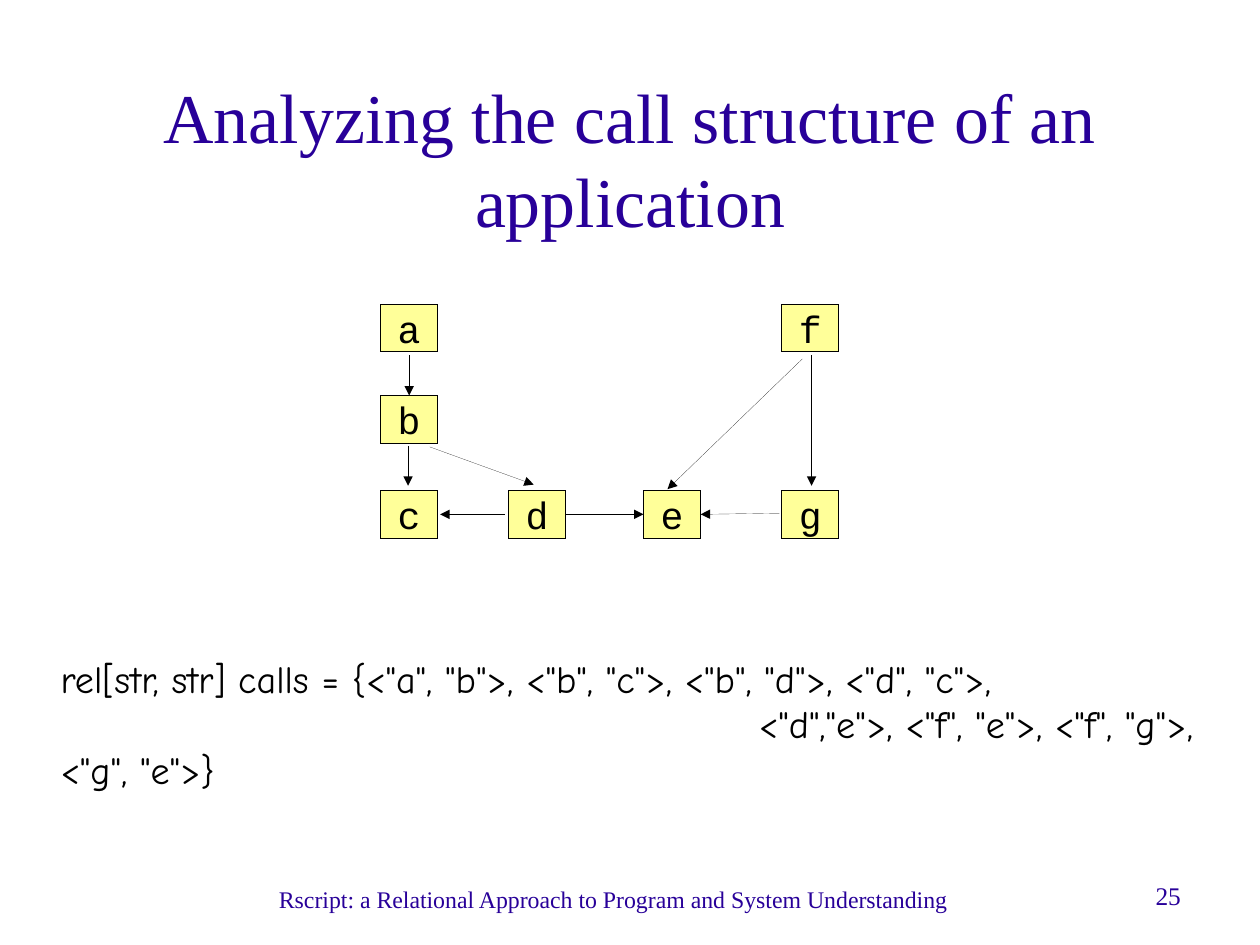
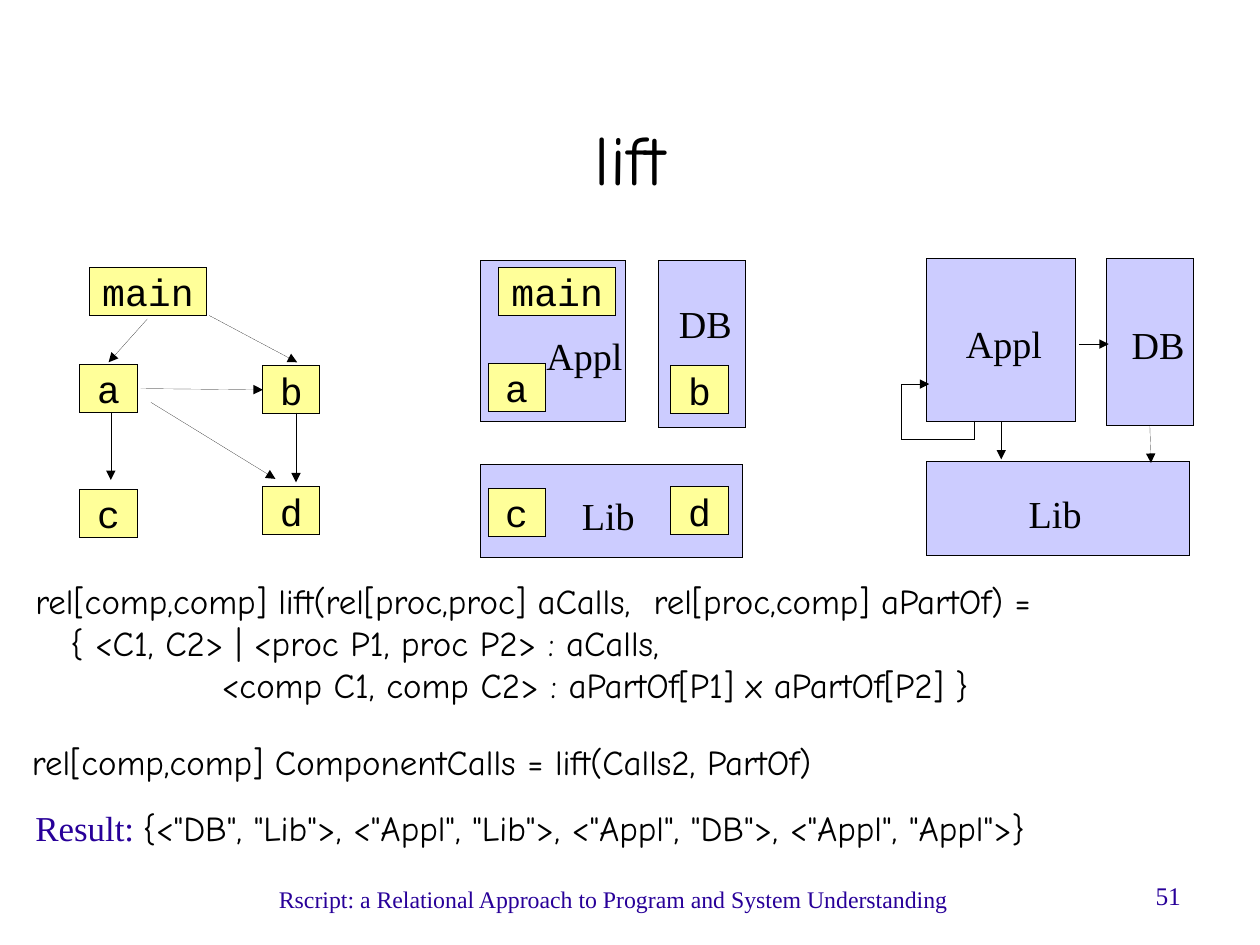
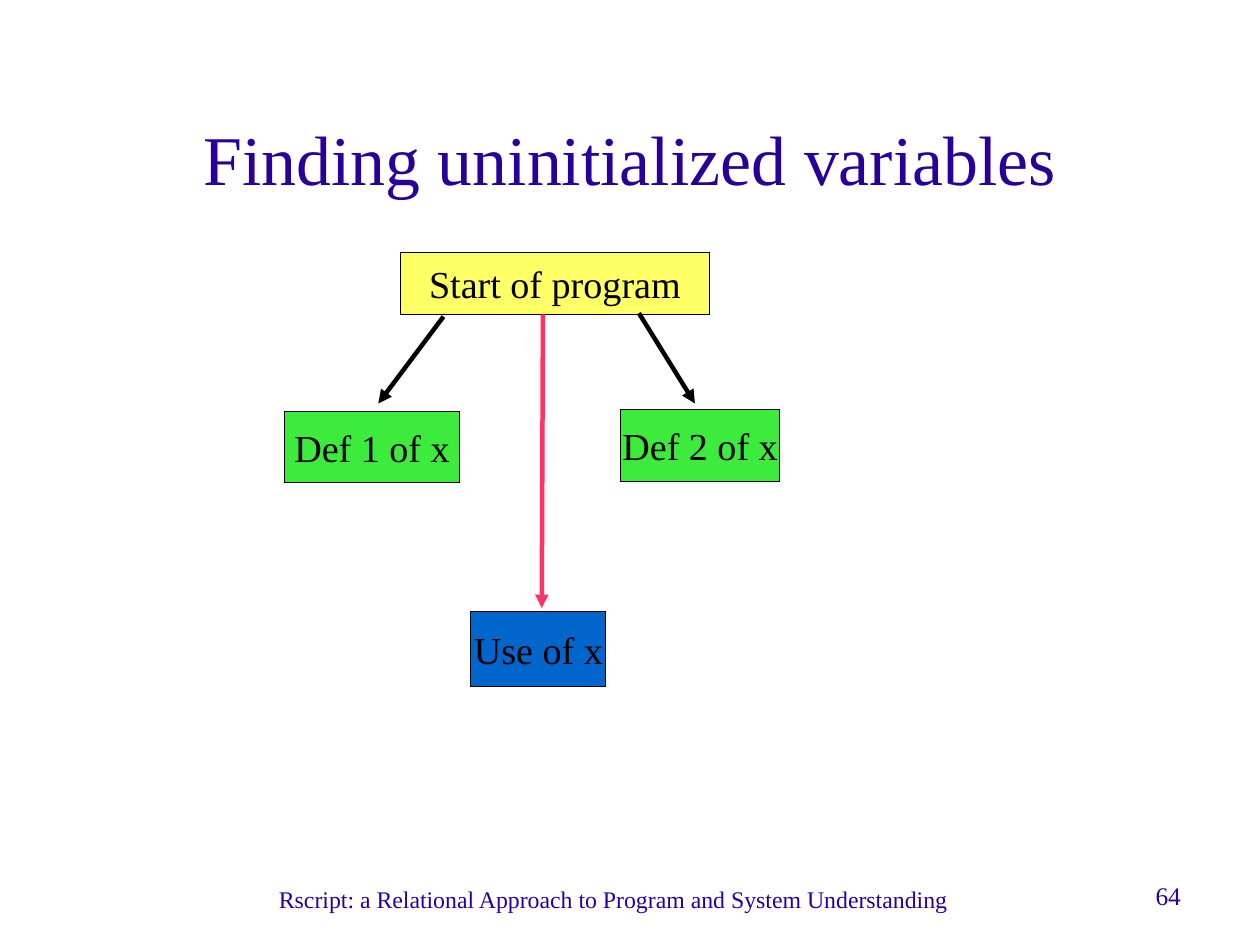
from dataclasses import dataclass
from math import hypot

from lxml import etree
from pptx import Presentation
from pptx.dml.color import RGBColor
from pptx.enum import shapes, text
from pptx.oxml.ns import qn
from pptx.util import Inches, Pt


@dataclass(frozen=True)
class Theme:
    serif: str = "Times New Roman"
    mono: str = "Courier New"
    script: str = "Comic Neue"
    purple: str = "280099"
    black: str = "000000"
    pink: str = "FF3366"
    node: str = "FFFF99"
    component: str = "CCCCFF"
    start: str = "FFFF66"
    definition: str = "3DEB3D"
    use: str = "0066CC"
    title_size: int = 44
    diagram_size: int = 24
    code_size: int = 22
    footer_size: int = 15
    number_size: int = 16
    hairline: float = 0
    thick: float = 2.83


THEME = Theme()
FOOTER = "Rscript: a Relational Approach to Program and System Understanding"
CM_PER_INCH = 2.54
NODE_WIDTH, MAIN_WIDTH, NODE_HEIGHT = 0.5, 1.03, 0.42
JOIN_DISTANCE = 0.02  # inches between an arrow end and a side's middle


# Text styles: font, size, colour
TITLE = (THEME.serif, THEME.title_size, THEME.purple)
CODE_TITLE = (THEME.script, THEME.title_size, THEME.black)
CODE_LARGE = (THEME.script, THEME.diagram_size, THEME.black)
CODE = (THEME.script, THEME.code_size, THEME.black)
RESULT = (THEME.serif, THEME.code_size, THEME.purple)
NODE_TEXT = (THEME.mono, THEME.diagram_size, THEME.black)
LABEL = (THEME.serif, THEME.diagram_size, THEME.black)
FOOTER_TEXT = (THEME.serif, THEME.footer_size, THEME.purple)
NUMBER_TEXT = (THEME.serif, THEME.number_size, THEME.purple)


def node(name, left, top):
    width = MAIN_WIDTH if name == "main" else NODE_WIDTH
    return (name, NODE_TEXT, THEME.node, (left, top, width, NODE_HEIGHT))


def component(left, top, width, height):
    return ("", LABEL, THEME.component, (left, top, width, height))


def label(name, left, top):
    width = {"Appl": 0.75, "DB": 0.5, "Lib": 0.52}[name]
    return ((left, top, width, 0.46), [(0, [(name, LABEL)])])


# Content: boxes, arrows (from x, y, to x, y), texts (area, paragraphs)
# A paragraph is its first-line indent and its runs.
SLIDES = [
    {
        "number": "25",
        "title": ("Analyzing the call structure of an application", TITLE),
        "boxes": [
            node("a", 3.33, 2.66), node("b", 3.33, 3.46), node("f", 6.84, 2.66),
            *[node(name, left, 4.29) for name, left in
              (("c", 3.33), ("d", 4.45), ("e", 5.63), ("g", 6.84))],
        ],
        "arrows": [
            (3.58, 3.11, 3.58, 3.46), (3.57, 3.9, 3.57, 4.25),
            (3.76, 3.91, 4.67, 4.24), (4.42, 4.5, 3.85, 4.5),
            (4.97, 4.5, 5.63, 4.5), (7.1, 3.11, 7.1, 4.25),
            (6.82, 4.49, 6.14, 4.49), (7.02, 3.14, 5.84, 4.28),
        ],
        "texts": [((0.53, 5.73, 10.36, 0.93), [
            (0, [('rel[str, str] calls = {<"a", "b">, <"b", "c">, <"b", "d">, <"d", "c">,',
                  CODE_LARGE)]),
            (6.11, [('<"d","e">, <"f", "e">, <"f", "g">, <"g", "e">}', CODE_LARGE)]),
        ])],
    },
    {
        "number": "51",
        "title": ("lift", CODE_TITLE),
        "boxes": [
            # Call graph
            node("main", 0.78, 2.34), node("a", 0.7, 3.19), node("b", 2.3, 3.2),
            node("c", 0.7, 4.28), node("d", 2.3, 4.26),
            # Procedures inside components
            component(5.76, 2.28, 0.76, 1.46), component(4.2, 4.06, 2.3, 0.82),
            component(4.2, 2.28, 1.27, 1.41),
            node("main", 4.36, 2.34), node("a", 4.27, 3.18), node("b", 5.87, 3.2),
            node("c", 4.27, 4.27), node("d", 5.87, 4.26),
            # Component calls
            component(9.68, 2.26, 0.76, 1.46), component(8.11, 4.04, 2.3, 0.82),
            component(8.11, 2.26, 1.3, 1.43),
        ],
        "arrows": [
            (0.97, 3.61, 0.97, 4.2), (2.59, 3.61, 2.59, 4.22),
            (1.32, 3.52, 2.41, 4.19), (1.29, 2.79, 0.95, 3.17),
            (1.23, 3.4, 2.29, 3.4), (1.83, 2.76, 2.6, 3.17),
            (8.75, 3.68, 8.76, 4.02), (10.07, 3.73, 10.07, 4.05),
            (9.44, 3.01, 9.7, 3.01),
        ],
        "loop": [(8.52, 3.68), (8.52, 3.84), (7.88, 3.84), (7.88, 3.36), (8.13, 3.36)],
        "texts": [
            label("Appl", 4.78, 2.91), label("DB", 5.94, 2.63), label("Lib", 5.09, 4.31),
            label("Appl", 8.45, 2.8), label("DB", 9.9, 2.81), label("Lib", 9, 4.29),
            ((0.31, 5.07, 10.7, 1.47), [
                (0, [("rel[comp,comp] lift(rel[proc,proc] aCalls,  rel[proc,comp] aPartOf) =",
                      CODE)]),
                (0, [("   { <C1, C2> | <proc P1, proc P2> : aCalls,", CODE)]),
                (0, [("                <comp C1, comp C2> : aPartOf[P1] x aPartOf[P2] }",
                      CODE)]),
            ]),
            ((0.28, 6.48, 9.09, 0.43), [
                (0, [("rel[comp,comp] ComponentCalls = lift(Calls2, PartOf)", CODE)]),
            ]),
            ((0.31, 7.06, 10.59, 0.43), [
                (0, [("Result: ", RESULT),
                     ('{<"DB", "Lib">, <"Appl", "Lib">, <"Appl", "DB">, <"Appl", "Appl">}',
                      CODE)]),
            ]),
        ],
    },
    {
        "number": "64",
        "title": ("Finding uninitialized variables", TITLE),
        "boxes": [
            ("Start of program", LABEL, THEME.start, (3.5, 2.21, 2.71, 0.54)),
            ("Def 1 of x", LABEL, THEME.definition, (2.49, 3.6, 1.53, 0.62)),
            ("Def 2 of x", LABEL, THEME.definition, (5.43, 3.58, 1.39, 0.63)),
            ("Use of x", LABEL, THEME.use, (4.12, 5.35, 1.18, 0.66)),
        ],
        "arrows": [(3.88, 2.77, 3.31, 3.53), (5.59, 2.74, 6.08, 3.53)],
        "width": THEME.thick,
        "highlight": (4.75, 2.75, 4.74, 5.32),
    },
]


def colour(value):
    return RGBColor.from_string(value)


def inches(values):
    return [Inches(value) for value in values]


# Text helpers
def set_frame(frame, wrap=True):
    frame.auto_size = text.MSO_AUTO_SIZE.NONE
    frame.word_wrap = wrap
    frame.margin_left = frame.margin_right = 0
    frame.margin_top = frame.margin_bottom = 0


def add_run(paragraph, words, style):
    run = paragraph.add_run()
    run.text = words
    run.font.name, size, run_colour = style
    run.font.size = Pt(size)
    run.font.color.rgb = colour(run_colour)


def write_centred(shape, words, style, wrap):
    frame = shape.text_frame
    set_frame(frame, wrap)
    frame.vertical_anchor = text.MSO_ANCHOR.MIDDLE
    paragraph = frame.paragraphs[0]
    paragraph.alignment = text.PP_ALIGN.CENTER
    add_run(paragraph, words, style)


def add_text(slide, area, paragraphs):
    frame = slide.shapes.add_textbox(*inches(area)).text_frame
    set_frame(frame)
    for index, (indent, runs) in enumerate(paragraphs):
        paragraph = frame.add_paragraph() if index else frame.paragraphs[0]
        if indent:
            paragraph._p.get_or_add_pPr().set("indent", str(Inches(indent)))
        for words, style in runs:
            add_run(paragraph, words, style)


# Diagram helpers
def set_line(line, line_colour, width, arrow=False):
    line.color.rgb = colour(line_colour)
    outline = line._get_or_add_ln()
    outline.set("w", str(Pt(width)))  # a zero width must be written out
    if arrow:
        etree.SubElement(outline, qn("a:tailEnd"), type="triangle")


def add_box(slide, words, style, fill, area):
    box = slide.shapes.add_shape(shapes.MSO_SHAPE.RECTANGLE, *inches(area))
    box.shadow.inherit = False
    box.fill.solid()
    box.fill.fore_color.rgb = colour(fill)
    set_line(box.line, THEME.black, THEME.hairline)
    if words:
        write_centred(box, words, style, wrap=False)
    return box


def find_side(boxes, x, y):
    for box, (left, top, width, height) in boxes:
        middle, centre = left + width / 2, top + height / 2
        sides = [(middle, top), (left, centre), (middle, top + height), (left + width, centre)]
        for side, (side_x, side_y) in enumerate(sides):
            if hypot(x - side_x, y - side_y) < JOIN_DISTANCE:
                return box, side
    return None


def add_arrow(slide, boxes, ends, line_colour, width):
    arrow = slide.shapes.add_connector(shapes.MSO_CONNECTOR.STRAIGHT, *inches(ends))
    set_line(arrow.line, line_colour, width, arrow=True)
    etree.SubElement(arrow._element.spPr, qn("a:effectLst"))
    for connect, point in ((arrow.begin_connect, ends[:2]), (arrow.end_connect, ends[2:])):
        joint = find_side(boxes, *point)
        if joint:
            connect(*joint)


def add_loop(slide, points):
    start, *rest = [tuple(inches(point)) for point in points]
    builder = slide.shapes.build_freeform(*start)
    builder.add_line_segments(rest, close=False)
    loop = builder.convert_to_shape()
    loop.shadow.inherit = False
    loop.fill.background()
    set_line(loop.line, THEME.black, THEME.hairline, arrow=True)


# Slides
def add_slide(presentation, content):
    slide = presentation.slides.add_slide(presentation.slide_layouts[5])
    title = slide.shapes.title
    title.left, title.top, title.width, title.height = inches((0.81, 0.69, 9.41, 1.38))
    write_centred(title, *content["title"], wrap=True)

    boxes = [(add_box(slide, *box), box[-1]) for box in content["boxes"]]
    width = content.get("width", THEME.hairline)
    for ends in content["arrows"]:
        add_arrow(slide, boxes, ends, THEME.black, width)
    if "highlight" in content:
        add_arrow(slide, boxes, content["highlight"], THEME.pink, width)
    if "loop" in content:
        add_loop(slide, content["loop"])
    for area, paragraphs in content.get("texts", []):
        add_text(slide, area, paragraphs)

    # Footer
    add_text(slide, (2.44, 7.74, 6.2, 0.25), [(0, [(FOOTER, FOOTER_TEXT)])])
    add_text(slide, (10.11, 7.7, 0.9, 0.37), [(0, [(content["number"], NUMBER_TEXT)])])


def main():
    presentation = Presentation()
    presentation.slide_width = Inches(28 / CM_PER_INCH)
    presentation.slide_height = Inches(21 / CM_PER_INCH)
    for content in SLIDES:
        add_slide(presentation, content)
    presentation.save("out.pptx")


if __name__ == "__main__":
    main()
